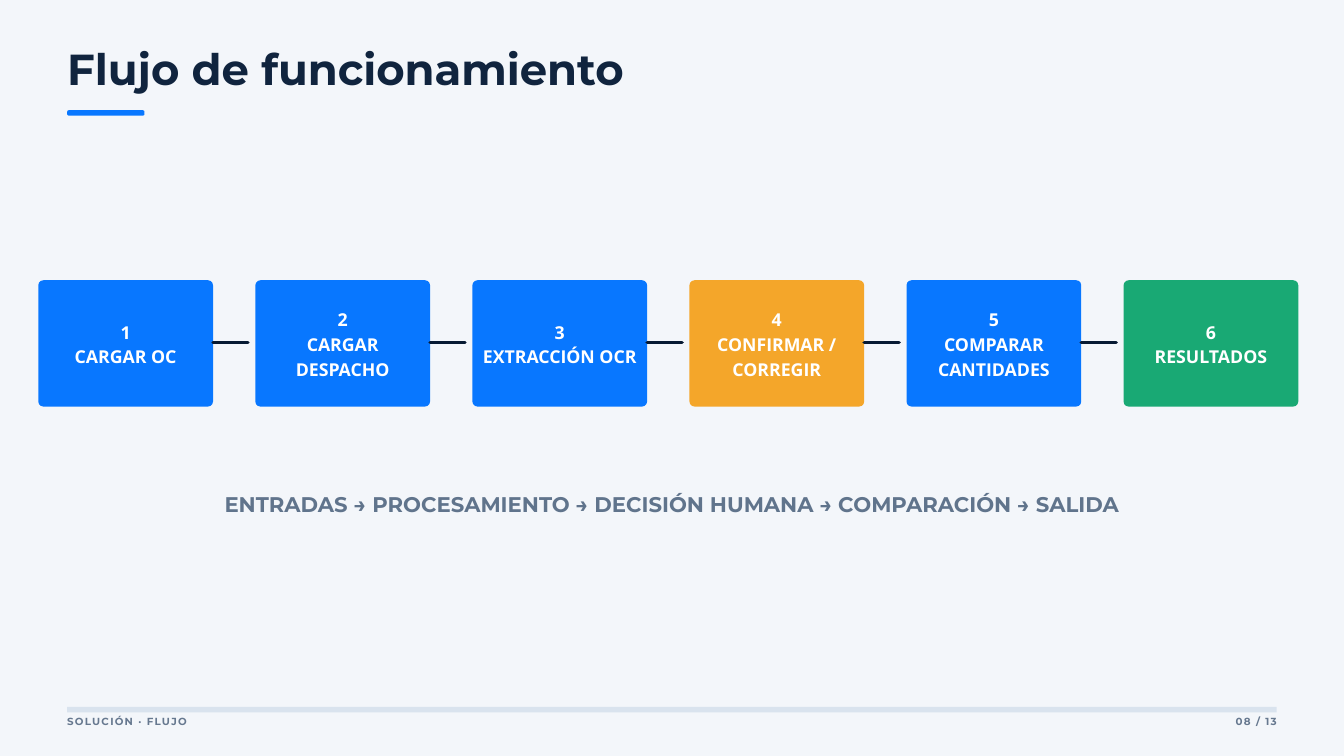
from lxml.etree import SubElement as Sub
from pptx import Presentation
from pptx.dml.color import RGBColor as Rgb
from pptx.enum.shapes import MSO_CONNECTOR as Link, MSO_SHAPE as Shape
from pptx.enum.text import MSO_ANCHOR as Anchor, MSO_AUTO_SIZE as Fit, PP_ALIGN as Align
from pptx.oxml.ns import qn
from pptx.util import Pt

PX = 9144
HUE = {
    "back": "F3F6FA", "title": "10243E", "blue": "0877FF", "amber": "F4A62A",
    "green": "19A974", "white": "FFFFFF", "line": "071A33", "note": "60748C",
    "rule": "D9E3EE", "foot": "66788F",
}
STEPS = [
    ("CARGAR OC", "blue"),
    ("CARGAR DESPACHO", "blue"),
    ("EXTRACCIÓN OCR", "blue"),
    ("CONFIRMAR / CORREGIR", "amber"),
    ("COMPARAR CANTIDADES", "blue"),
    ("RESULTADOS", "green"),
]


def tint(name):
    return Rgb.from_string(HUE[name])


def scale(*sizes):
    return [size * PX for size in sizes]


def write(item, text, size, lead, hue, face="Montserrat", align=Align.LEFT,
          pad=0, anchor=Anchor.TOP, space=0):
    frame = item.text_frame
    frame.text = text
    frame.word_wrap = True
    frame.auto_size = Fit.NONE
    frame.vertical_anchor = anchor
    frame.margin_left = frame.margin_right = pad * PX
    frame.margin_top = frame.margin_bottom = pad * PX
    for para in frame.paragraphs:
        para.alignment = align
        para.line_spacing = Pt(lead)
        for run in para.runs:
            font = run.font
            font.name, font.size, font.bold = face, Pt(size), True
            font.color.rgb = tint(hue)
            if space:
                font._element.set("spc", str(space))


def label(slide, box, text, *style, **more):
    write(slide.shapes.add_textbox(*scale(*box)), text, *style, **more)


def block(slide, kind, box, hue, curve=None):
    item = slide.shapes.add_shape(kind, *scale(*box))
    item.shadow.inherit = False
    item.fill.solid()
    item.fill.fore_color.rgb = tint(hue)
    item.line.fill.background()
    if curve is not None:
        item.adjustments[0] = curve
    return item


def stroke(slide, left, right, y):
    item = slide.shapes.add_connector(Link.STRAIGHT, *scale(left, y, right, y))
    item.line.color.rgb = tint("line")
    item.line.width = Pt(3.75)
    item.line._ln.set("cap", "rnd")
    Sub(item._element.spPr, qn("a:effectLst"))


def head(slide, x, y, wide):
    title = slide.shapes.title
    title.left, title.top, title.width, title.height = scale(x, y, wide, 70)
    write(title, "Flujo de funcionamiento", 46.5, 50.2, "title")
    block(slide, Shape.ROUNDED_RECTANGLE, (x, y + 93, 115, 8), "blue", 0.3)


def flow(slide, x, y, wide, high):
    pitch, gap = 323, 52
    card = wide - pitch * (len(STEPS) - 1)
    for num, (name, hue) in enumerate(STEPS, 1):
        left = x + pitch * (num - 1)
        item = block(slide, Shape.ROUNDED_RECTANGLE, (left, y, card, high), hue, 0.04)
        write(item, f"{num}\n{name}", 19, 26.6, "white", "Open Sans",
              Align.CENTER, 6, Anchor.MIDDLE)
        item.text_frame.margin_bottom = 8 * PX
        if num < len(STEPS):
            stroke(slide, left + card, left + card + gap, y + high // 2 - 1)


def note(slide, *box):
    label(slide, box,
          "ENTRADAS → PROCESAMIENTO → DECISIÓN HUMANA → COMPARACIÓN → SALIDA",
          22.7, 31.8, "note", align=Align.CENTER)


def foot(slide, x, y, wide):
    block(slide, Shape.RECTANGLE, (x, y, wide, 8), "rule")
    page = 192
    style = (11, 15.4, "foot")
    label(slide, (x, y + 9, 750, 21), "SOLUCIÓN · FLUJO", *style, space=130)
    label(slide, (x + wide - page, y + 9, page, 21), "08 / 13", *style,
          align=Align.RIGHT, space=130)


def main():
    deck = Presentation()
    deck.slide_width, deck.slide_height = scale(2000, 1125)
    slide = deck.slides.add_slide(deck.slide_layouts[5])
    slide.background.fill.solid()
    slide.background.fill.fore_color.rgb = tint("back")
    head(slide, 100, 71, 1562)
    flow(slide, 57, 417, 1875, 188)
    note(slide, 260, 725, 1479, 42)
    foot(slide, 100, 1052, 1800)
    deck.save("out.pptx")


if __name__ == "__main__":
    main()
